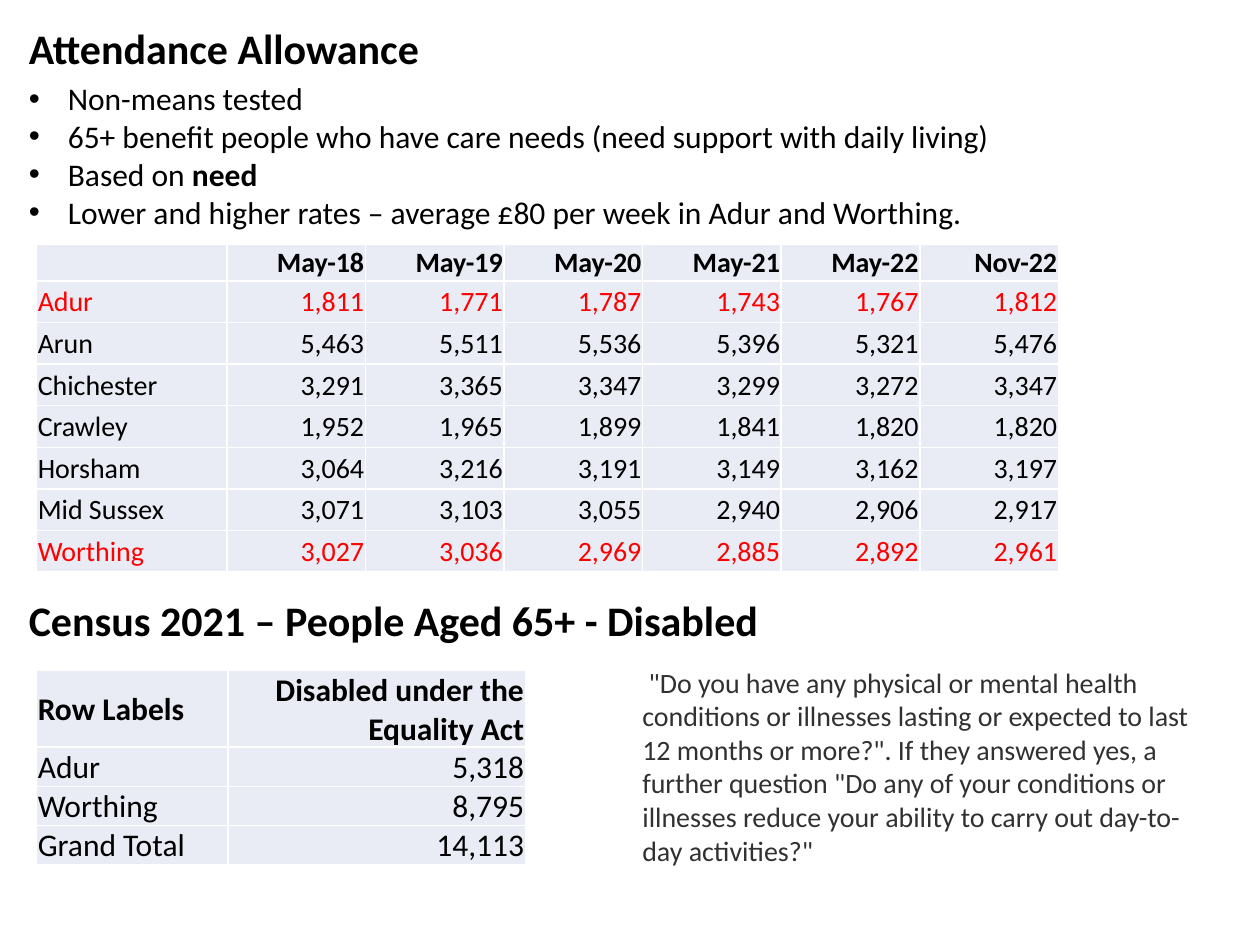
from lxml import etree
from pptx import Presentation
from pptx import util as u
from pptx.dml import color
from pptx.enum import text
from pptx.oxml import ns

BLACK, RED, GREY, WHITE, PALE = "000000", "FF0000", "323132", "FFFFFF", "E9EBF5"


def rgb(value):
    return color.RGBColor.from_string(value)


def child(parent, tag, **attrs):
    return etree.SubElement(parent, ns.qn(tag), attrs)


class Deck:
    font = "Calibri"
    margins = dict(margin_left=0.01, margin_top=0.01, margin_right=0.01, margin_bottom=0)

    def __init__(self, prs):
        self.s = prs.slides.add_slide(prs.slide_layouts[6])

    def run(self, p, words, size, bold=False, fill=BLACK):
        r = p.add_run()
        r.text = words
        fmt = dict(name=self.font, size=u.Pt(size), bold=bold)
        for key, value in fmt.items():
            setattr(r.font, key, value)
        r.font.color.rgb = rgb(fill)

    def box(self, x, y, w, h):
        sp = self.s.shapes.add_textbox(*map(u.Inches, (x, y, w, h)))
        sp.text_frame.word_wrap = True
        return sp.text_frame

    def paragraph(self, words, x, y, w, h, size, bold=False, fill=BLACK):
        tf = self.box(x, y, w, h)
        self.run(tf.paragraphs[0], words, size, bold, fill)

    def bullets(self, items, x, y, w, h, size):
        tf = self.box(x, y, w, h)
        indent = u.Inches(0.31)
        for i, parts in enumerate(items):
            p = tf.add_paragraph() if i else tf.paragraphs[0]
            pPr = p._p.get_or_add_pPr()
            pPr.set("marL", str(indent))
            pPr.set("indent", str(-indent))
            child(pPr, "a:buFont", typeface="Arial")
            child(pPr, "a:buChar", char="•")
            for words, bold in parts:
                self.run(p, words, size, bold)

    def border(self, cell):
        tcPr = cell._tc.get_or_add_tcPr()
        for side in ("L", "R", "T", "B"):
            ln = child(tcPr, f"a:ln{side}", w=str(u.Pt(1)))
            child(child(ln, "a:solidFill"), "a:srgbClr", val=WHITE)

    def table(self, rows, x, y, widths, heights, size, red=()):
        frame = self.s.shapes.add_table(
            len(rows), len(widths), *map(u.Inches, (x, y, sum(widths), sum(heights))))
        tbl = frame.table
        tbl.first_row = tbl.horz_banding = False
        for col, width in zip(tbl.columns, widths):
            col.width = u.Inches(width)
        for row, height in zip(tbl.rows, heights):
            row.height = u.Inches(height)
        for i, row in enumerate(rows):
            fill = RED if row[0] in red else BLACK
            for j, words in enumerate(row):
                self.cell(tbl.cell(i, j), words, size, i == 0, fill, j > 0)

    def cell(self, cell, words, size, bold, fill, right):
        self.border(cell)
        cell.fill.solid()
        cell.fill.fore_color.rgb = rgb(PALE)
        cell.vertical_anchor = text.MSO_ANCHOR.MIDDLE
        for key, value in self.margins.items():
            setattr(cell, key, u.Inches(value))
        p = cell.text_frame.paragraphs[0]
        p.alignment = text.PP_ALIGN.RIGHT if right else text.PP_ALIGN.LEFT
        if words:
            self.run(p, words, size, bold, fill)
        else:
            child(p._p, "a:endParaRPr", sz=str(size * 100))


def main():
    prs = Presentation()
    prs.slide_width, prs.slide_height = u.Inches(10), u.Inches(7.5)
    deck = Deck(prs)

    deck.paragraph("Census 2021 – People Aged 65+ - Disabled", 0.13, 4.67, 9.41, 0.91, 24, True)
    deck.bullets([
        [("Non-means tested", False)],
        [("65+ benefit people who have care needs (need support with daily living)", False)],
        [("Based on ", False), ("need", True)],
        [("Lower and higher rates – average £80 per week in Adur and Worthing.", False)],
    ], 0.13, 0.58, 9.25, 1.62, 18)

    claimants = [
        ["", "May-18", "May-19", "May-20", "May-21", "May-22", "Nov-22"],
        ["Adur", "1,811", "1,771", "1,787", "1,743", "1,767", "1,812"],
        ["Arun", "5,463", "5,511", "5,536", "5,396", "5,321", "5,476"],
        ["Chichester", "3,291", "3,365", "3,347", "3,299", "3,272", "3,347"],
        ["Crawley", "1,952", "1,965", "1,899", "1,841", "1,820", "1,820"],
        ["Horsham", "3,064", "3,216", "3,191", "3,149", "3,162", "3,197"],
        ["Mid Sussex", "3,071", "3,103", "3,055", "2,940", "2,906", "2,917"],
        ["Worthing", "3,027", "3,036", "2,969", "2,885", "2,892", "2,961"],
    ]
    deck.table(claimants, 0.29, 1.94, [1.51] + [1.1] * 6, [0.29] + [0.33] * 7, 16,
               red=("Adur", "Worthing"))
    deck.paragraph("Attendance Allowance", 0.13, 0.13, 9.25, 0.91, 24, True)

    disabled = [
        ["Row Labels", "Disabled under the Equality Act"],
        ["Adur", "5,318"],
        ["Worthing", "8,795"],
        ["Grand Total", "14,113"],
    ]
    deck.table(disabled, 0.29, 5.32, [1.52, 2.36], [0.61] + [0.31] * 3, 18)
    deck.paragraph(
        " \"Do you have any physical or mental health conditions or illnesses lasting or "
        "expected to last 12 months or more?\". If they answered yes, a further question "
        "\"Do any of your conditions or illnesses reduce your ability to carry out "
        "day-to-day activities?\"", 5, 5.23, 4.6, 1.72, 16, fill=GREY)

    prs.save("out.pptx")


if __name__ == "__main__":
    main()
